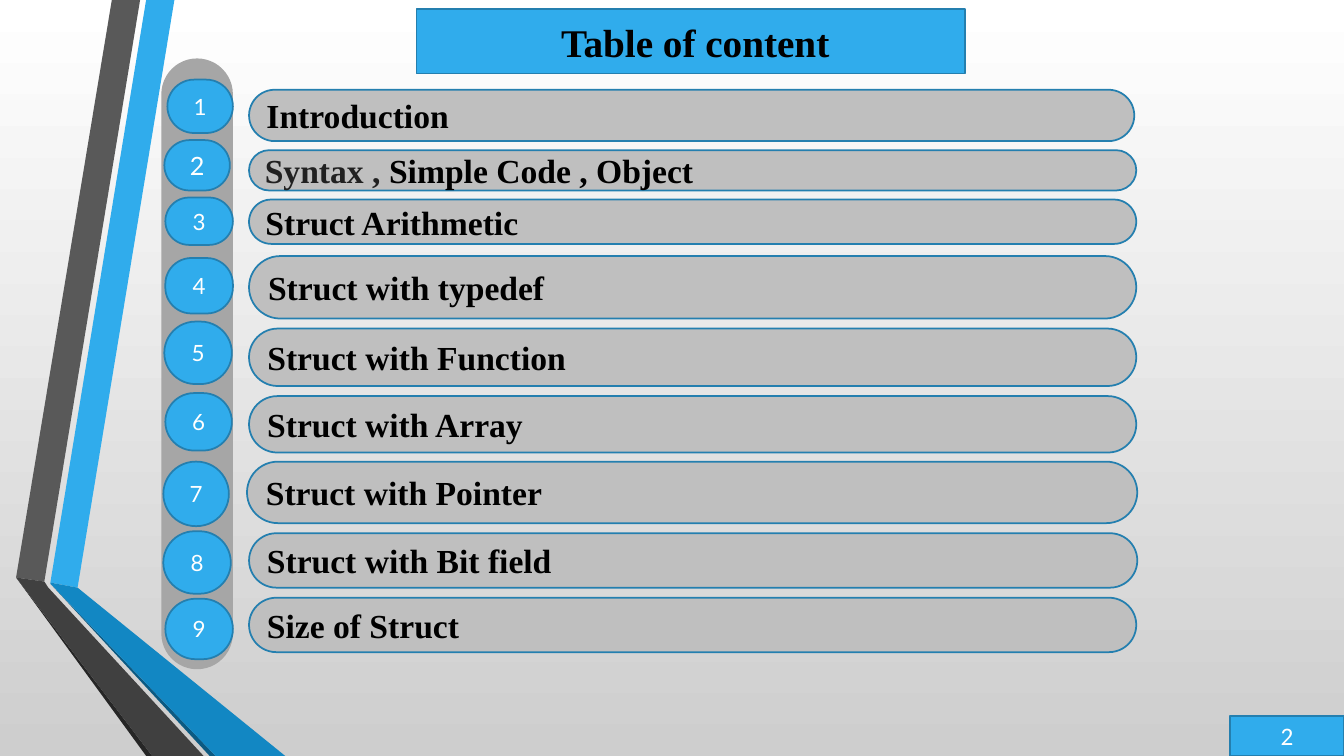
from dataclasses import dataclass

from lxml import etree
from pptx import Presentation
from pptx.dml.color import RGBColor
from pptx.enum.shapes import MSO_SHAPE
from pptx.enum.text import MSO_ANCHOR, MSO_AUTO_SIZE, PP_ALIGN
from pptx.oxml.ns import qn
from pptx.util import Inches, Pt

RECTANGLE = MSO_SHAPE.RECTANGLE
ROUNDED = MSO_SHAPE.ROUNDED_RECTANGLE
MIDDLE = MSO_ANCHOR.MIDDLE
NO_AUTOFIT = MSO_AUTO_SIZE.NONE
LEFT = PP_ALIGN.LEFT
CENTER = PP_ALIGN.CENTER

BLUE = "30ACEC"
DARK_BLUE = "247FAF"
BAR_GREY = "BFBFBF"
RAIL_GREY = "A6A6A6"
BLACK = "000000"
WHITE = "FFFFFF"
SERIF = "Times New Roman"
TITLE_LAYOUT = 5

Box = tuple[float, float, float, float]
Point = tuple[float, float]


@dataclass(frozen=True)
class TextStyle:
    size: float
    font: str
    color: str
    bold: bool = False
    alignment: PP_ALIGN = CENTER


@dataclass(frozen=True)
class Band:
    color: str
    points: tuple[Point, ...]


@dataclass(frozen=True)
class Entry:
    label: str
    bar: Box
    badge: Box
    badge_size: float = 16
    badge_radius: float = 0.5
    muted_label: str = ""


TITLE_STYLE = TextStyle(28, SERIF, BLACK, True)
LABEL_STYLE = TextStyle(24, SERIF, BLACK, True, LEFT)
PAGE_STYLE = TextStyle(18, "Calibri", WHITE)

BANDS = (
    Band(BLUE, ((0.5, 5.78), (0.77, 5.83), (1.73, 0), (1.45, 0))),
    Band("595959", ((1.39, 0), (1.11, 0), (0.16, 5.73), (0.44, 5.77))),
    Band("262626", ((0.16, 5.73), (1.45, 7.5), (1.51, 7.5))),
    Band("0C5A82", ((0.5, 5.79), (2.08, 7.5), (2.14, 7.5))),
    Band("1287C3", ((0.5, 5.79), (2.14, 7.5), (2.83, 7.5), (0.77, 5.83), (0.5, 5.78))),
    Band("404040", ((2.02, 7.5), (0.48, 5.83), (0.44, 5.77), (0.16, 5.73), (1.51, 7.5))),
)

ENTRIES = (
    Entry("Introduction", (2.47, 0.89, 8.78, 0.51), (1.66, 0.79, 0.65, 0.53)),
    Entry("Simple Code , Object", (2.47, 1.49, 8.8, 0.4), (1.63, 1.39, 0.65, 0.5),
          badge_size=18, muted_label="Syntax , "),
    Entry("Struct Arithmetic", (2.47, 1.98, 8.8, 0.44), (1.64, 1.96, 0.67, 0.47)),
    Entry("Struct with typedef", (2.47, 2.54, 8.8, 0.62), (1.64, 2.56, 0.67, 0.55),
          badge_radius=0.47),
    Entry("Struct with Function", (2.47, 3.26, 8.8, 0.57), (1.63, 3.19, 0.67, 0.62)),
    Entry("Struct with Array", (2.47, 3.93, 8.8, 0.56), (1.64, 3.9, 0.66, 0.57)),
    Entry("Struct with Pointer", (2.45, 4.58, 8.83, 0.61), (1.62, 4.58, 0.65, 0.64)),
    Entry("Struct with Bit field", (2.47, 5.29, 8.81, 0.54), (1.62, 5.27, 0.67, 0.62)),
    Entry("Size of Struct", (2.47, 5.93, 8.8, 0.54), (1.64, 5.94, 0.67, 0.6)),
)


def rgb(color: str) -> RGBColor:
    return RGBColor.from_string(color)


def paint(shape, fill: str, outline: str | None = DARK_BLUE) -> None:
    shape.fill.solid()
    shape.fill.fore_color.rgb = rgb(fill)
    if outline:
        shape.line.color.rgb = rgb(outline)
        shape.line.width = Pt(1.25)
    else:
        shape.line.fill.background()


def format_run(run, style: TextStyle, color: str) -> None:
    run.font.size = Pt(style.size)
    run.font.name = style.font
    run.font.bold = style.bold
    run.font.color.rgb = rgb(color)


def write(shape, text: str, style: TextStyle) -> None:
    frame = shape.text_frame
    frame.text = text
    frame.word_wrap = True
    frame.auto_size = NO_AUTOFIT
    frame.vertical_anchor = MIDDLE
    paragraph = frame.paragraphs[0]
    paragraph.alignment = style.alignment
    format_run(paragraph.runs[0], style, style.color)


def add_box(slide, kind: MSO_SHAPE, box: Box, fill: str,
            outline: str | None = DARK_BLUE, radius: float = 0.5):
    shape = slide.shapes.add_shape(kind, *map(Inches, box))
    shape.shadow.inherit = False
    if kind == ROUNDED:
        shape.adjustments[0] = radius
    paint(shape, fill, outline)
    return shape


def add_band(slide, band: Band) -> None:
    points = [(Inches(x), Inches(y)) for x, y in band.points]
    builder = slide.shapes.build_freeform(*points[0])
    builder.add_line_segments(points[1:], close=True)
    shape = builder.convert_to_shape()
    shape.shadow.inherit = False
    paint(shape, band.color, None)


def add_entry(slide, number: int, entry: Entry) -> None:
    bar = add_box(slide, ROUNDED, entry.bar, BAR_GREY)
    write(bar, entry.muted_label or entry.label, LABEL_STYLE)
    if entry.muted_label:
        paragraph = bar.text_frame.paragraphs[0]
        paragraph.runs[0].font.color.rgb = rgb("212121")
        run = paragraph.add_run()
        run.text = entry.label
        format_run(run, LABEL_STYLE, BLACK)
    badge = add_box(slide, ROUNDED, entry.badge, BLUE, radius=entry.badge_radius)
    write(badge, str(number), TextStyle(entry.badge_size, "Lato", WHITE))


def set_title(slide) -> None:
    title = slide.shapes.title
    title.left, title.top, title.width, title.height = map(Inches, (4.13, 0.09, 5.44, 0.64))
    properties = title.element.spPr
    geometry = etree.SubElement(properties, qn("a:prstGeom"), prst="roundRect")
    etree.SubElement(geometry, qn("a:avLst"))
    paint(title, BLUE)
    write(title, " Table of content", TITLE_STYLE)


def set_background(slide) -> None:
    fill = slide.background.fill
    fill.gradient()
    fill.gradient_angle = 270
    for stop, position, color in zip(fill.gradient_stops, (0, 1), (WHITE, "CECECE")):
        stop.position = position
        stop.color.rgb = rgb(color)


def main() -> None:
    presentation = Presentation()
    presentation.slide_width = Inches(13.33)
    presentation.slide_height = Inches(7.5)
    slide = presentation.slides.add_slide(presentation.slide_layouts[TITLE_LAYOUT])
    set_background(slide)
    for band in BANDS:
        add_band(slide, band)
    page_box = add_box(slide, RECTANGLE, (12.2, 7.1, 1.13, 0.4), BLUE)
    write(page_box, "2", PAGE_STYLE)
    add_box(slide, ROUNDED, (1.6, 0.58, 0.71, 6.06), RAIL_GREY, None)
    set_title(slide)
    for number, entry in enumerate(ENTRIES, 1):
        add_entry(slide, number, entry)
    presentation.save("out.pptx")


if __name__ == "__main__":
    main()
